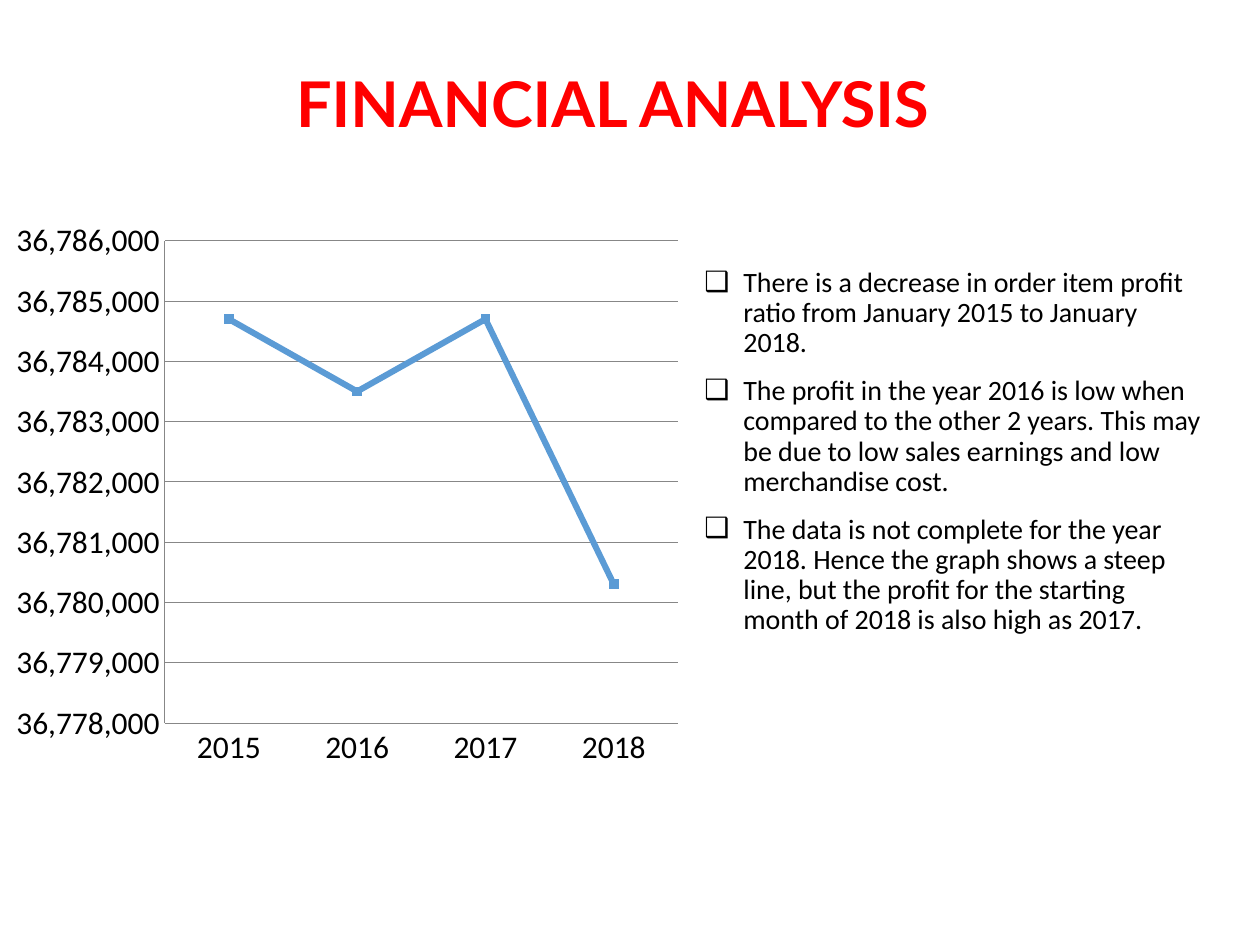
from lxml import etree
from pptx import Presentation
from pptx.chart.data import CategoryChartData
from pptx.dml.color import RGBColor
from pptx.enum.chart import XL_CHART_TYPE, XL_MARKER_STYLE, XL_TICK_MARK
from pptx.enum.text import MSO_ANCHOR, MSO_AUTO_SIZE, PP_ALIGN
from pptx.oxml.ns import qn
from pptx.util import Inches, Pt

LINE_CHART = XL_CHART_TYPE.LINE_MARKERS
SQUARE = XL_MARKER_STYLE.SQUARE
NO_TICK = XL_TICK_MARK.NONE
LEFT = PP_ALIGN.LEFT
TOP, BOTTOM = MSO_ANCHOR.TOP, MSO_ANCHOR.BOTTOM
NO_AUTOFIT = MSO_AUTO_SIZE.NONE

RED = RGBColor(0xFF, 0x00, 0x00)
BLACK = RGBColor(0x00, 0x00, 0x00)
BLUE = RGBColor(0x5B, 0x9B, 0xD5)
GRAY = RGBColor(0x87, 0x87, 0x87)

TITLE = "FINANCIAL ANALYSIS"
FINDINGS = [
    "There is a decrease in order item profit ratio from January 2015 to January 2018.",
    "The profit in the year 2016 is low when compared to the other 2 years. "
    "This may be due to low sales earnings and low merchandise cost.",
    "The data is not complete for the year 2018. Hence the graph shows a steep line, "
    "but the profit for the starting month of 2018 is also high as 2017.",
]
PROFITS = {"2015": 36784700, "2016": 36783500, "2017": 36784700, "2018": 36780300}
AXIS_MINIMUM, AXIS_MAXIMUM, AXIS_STEP = 36778000, 36786000, 1000

TITLE_BOX = (2.25, 0.04, 7.75, 1.13)
FINDINGS_BOX = (5.49, 2.08, 4.18, 5.08)
CHART_BOX = (0.02, 1.67, 5.47, 4.5)


def place(shape, box):
    """Move a shape to a box given in inches."""
    shape.left, shape.top, shape.width, shape.height = map(Inches, box)


def prepare(shape, box, anchor):
    """Place a text placeholder and return its text frame."""
    place(shape, box)
    frame = shape.text_frame
    frame.word_wrap = True
    frame.auto_size = NO_AUTOFIT
    frame.vertical_anchor = anchor
    return frame


def write(paragraph, text, name, size, color, bold=False):
    """Add one formatted run to a left-aligned paragraph."""
    paragraph.alignment = LEFT
    paragraph.line_spacing = 0.9
    run = paragraph.add_run()
    run.text = text
    style_font(run.font, name, size, color, bold)


def style_font(font, name, size, color, bold=False):
    """Set the typeface, size, colour and weight of a font."""
    font.name, font.size, font.bold = name, Pt(size), bold
    font.color.rgb = color


def add_bullet(paragraph, character):
    """Give a paragraph a hanging bullet."""
    properties = paragraph._p.get_or_add_pPr()
    indent = Inches(0.31)
    properties.set("marL", str(indent))
    properties.set("indent", str(-indent))
    etree.SubElement(properties, qn("a:buChar")).set("char", character)


def add_profit_chart(slide):
    """Add the line chart of profit by year."""
    data = CategoryChartData(number_format="#,##0")
    data.categories = list(PROFITS)
    data.add_series("Series 1", list(PROFITS.values()))
    chart = slide.shapes.add_chart(LINE_CHART, *map(Inches, CHART_BOX), data).chart
    chart.has_legend = chart.has_title = False
    style_font(chart.font, "Calibri", 18, BLACK)

    value_axis = chart.value_axis
    value_axis.minimum_scale, value_axis.maximum_scale = AXIS_MINIMUM, AXIS_MAXIMUM
    value_axis.major_unit = AXIS_STEP
    value_axis.tick_labels.number_format = "#,##0"
    value_axis.tick_labels.number_format_is_linked = False
    value_axis.has_major_gridlines = True
    for axis in (value_axis, chart.category_axis):
        axis.major_tick_mark = axis.minor_tick_mark = NO_TICK
    for part in (value_axis, chart.category_axis, value_axis.major_gridlines):
        part.format.line.color.rgb = GRAY
        part.format.line.width = Pt(0.5)

    plot = chart.plots[0]
    plot.vary_by_categories = False
    series = plot.series[0]
    series.smooth = False
    series.format.line.color.rgb = BLUE
    series.format.line.width = Pt(3.5)
    marker = series.marker
    marker.style, marker.size = SQUARE, 5
    marker.format.fill.solid()
    marker.format.fill.fore_color.rgb = BLUE
    marker.format.line.color.rgb = BLUE


presentation = Presentation()
presentation.slide_width, presentation.slide_height = Inches(10), Inches(7.5)
slide = presentation.slides.add_slide(presentation.slide_layouts[1])

title_frame = prepare(slide.shapes.title, TITLE_BOX, BOTTOM)
write(title_frame.paragraphs[0], TITLE, "Lato", 36, RED, bold=True)

findings_frame = prepare(slide.placeholders[1], FINDINGS_BOX, TOP)
for index, finding in enumerate(FINDINGS):
    paragraph = findings_frame.add_paragraph() if index else findings_frame.paragraphs[0]
    write(paragraph, finding, "Calibri", 16, BLACK)
    paragraph.space_before = Pt(10)
    add_bullet(paragraph, "\u2751")

add_profit_chart(slide)
presentation.save("out.pptx")
